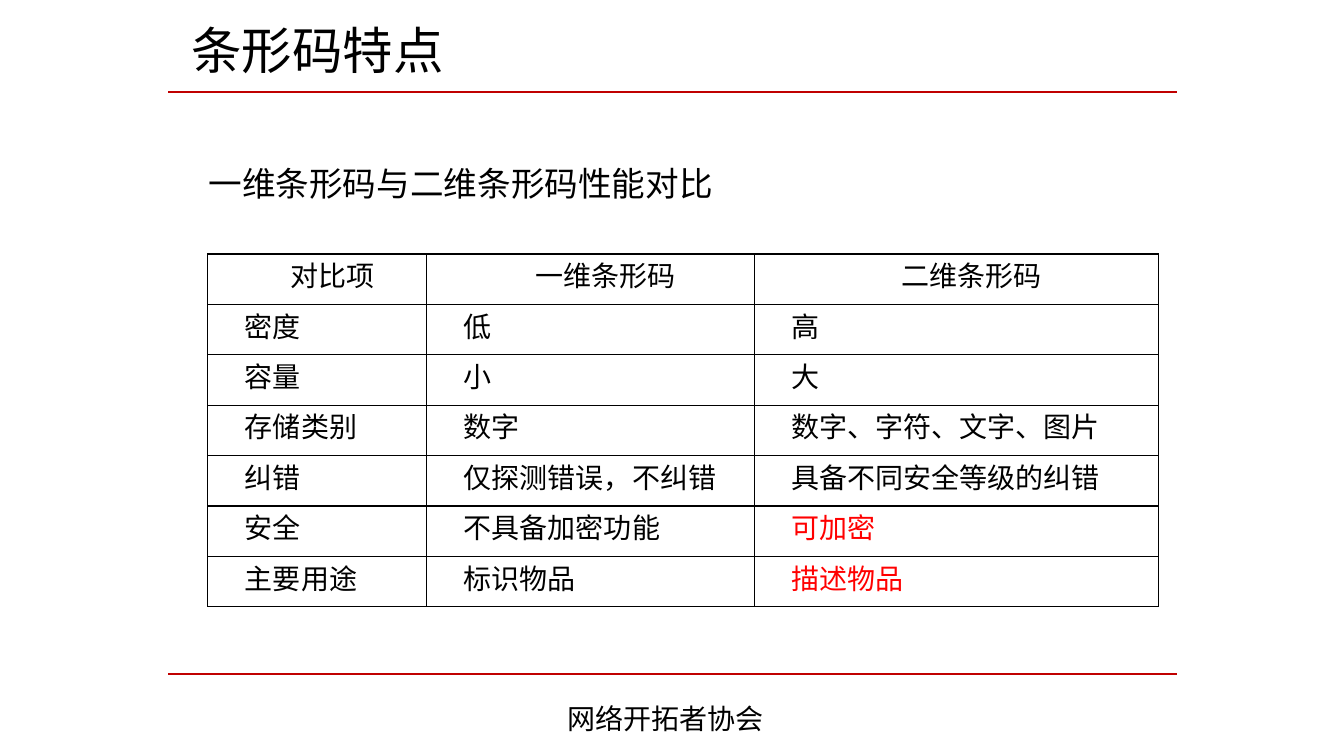
import pptx
import pptx.dml.color
import pptx.enum.shapes
import pptx.enum.text
import pptx.oxml
import pptx.oxml.ns
import pptx.util

PX = 9144  # 100 px to the inch
BLACK = pptx.dml.color.RGBColor(0x00, 0x00, 0x00)
RED = pptx.dml.color.RGBColor(0xFF, 0x00, 0x00)
RULE_RED = pptx.dml.color.RGBColor(0xC0, 0x00, 0x00)
SANS = "Noto Sans CJK SC"
SERIF = "Times New Roman"
NAMESPACE = pptx.oxml.ns.nsdecls("a")


def style_span(span, size, latin, color):
    """Format a run, with the sans face for its Chinese characters."""
    span.font.size = pptx.util.Pt(size)
    span.font.color.rgb = color
    span.font.name = latin
    latin_element = span.font._element.find(pptx.oxml.ns.qn("a:latin"))
    latin_element.addnext(pptx.oxml.parse_xml(f'<a:ea {NAMESPACE} typeface="{SANS}"/>'))


def fill_text(box, text, bounds, size):
    """Place a box and give it one left-aligned line."""
    box.left, box.top, box.width, box.height = [value * PX for value in bounds]
    frame = box.text_frame
    frame.text = text
    frame.word_wrap = True
    frame.auto_size = pptx.enum.text.MSO_AUTO_SIZE.NONE
    frame.vertical_anchor = pptx.enum.text.MSO_ANCHOR.MIDDLE
    frame.paragraphs[0].alignment = pptx.enum.text.PP_ALIGN.LEFT
    style_span(frame.paragraphs[0].runs[0], size, SANS, BLACK)


deck = pptx.Presentation()
deck.slide_width = 1333 * PX
deck.slide_height = 750 * PX
page = deck.slides.add_slide(deck.slide_layouts[5])

# Rules under the title and above the footer
for rule_y in (91, 669):
    rule = page.shapes.add_connector(
        pptx.enum.shapes.MSO_CONNECTOR.STRAIGHT,
        167 * PX, rule_y * PX, 1167 * PX, rule_y * PX)
    rule.line.color.rgb = RULE_RED
    rule.line.width = pptx.util.Pt(1.5)
    rule._element.spPr.append(pptx.oxml.parse_xml(f"<a:effectLst {NAMESPACE}/>"))

# Title, footer and table heading
fill_text(page.shapes.title, "条形码特点", (180, 13, 950, 71), 36)
for text, bounds, size in (
    ("网络开拓者协会", (553, 691, 382, 44), 20),
    ("一维条形码与二维条形码性能对比", (197, 157, 737, 50), 24),
):
    fill_text(page.shapes.add_textbox(0, 0, 0, 0), text, bounds, size)

# Comparison table
COMPARISON = [
    ("对比项", "一维条形码", "二维条形码"),
    ("密度", "低", "高"),
    ("容量", "小", "大"),
    ("存储类别", "数字", "数字、字符、文字、图片"),
    ("纠错", "仅探测错误，不纠错", "具备不同安全等级的纠错"),
    ("安全", "不具备加密功能", "可加密"),
    ("主要用途", "标识物品", "描述物品"),
]
HIGHLIGHTS = {"可加密", "描述物品"}
COLUMN_WIDTHS = (217, 325, 401)
ROW_HEIGHT = 50

table = page.shapes.add_table(
    len(COMPARISON), len(COLUMN_WIDTHS), 206 * PX, 252 * PX,
    sum(COLUMN_WIDTHS) * PX, len(COMPARISON) * ROW_HEIGHT * PX).table
table.first_row = False
table.horz_banding = False
for column, width in zip(table.columns, COLUMN_WIDTHS):
    column.width = width * PX

for row_index, texts in enumerate(COMPARISON):
    table.rows[row_index].height = ROW_HEIGHT * PX
    for column_index, text in enumerate(texts):
        cell = table.cell(row_index, column_index)
        cell.text = text
        cell.margin_left = cell.margin_right = 7 * PX
        cell.margin_top = cell.margin_bottom = 0
        cell.vertical_anchor = pptx.enum.text.MSO_ANCHOR.TOP
        properties = cell._tc.get_or_add_tcPr()
        for side in ("lnL", "lnR", "lnT", "lnB"):
            properties.append(pptx.oxml.parse_xml(
                f'<a:{side} {NAMESPACE} w="{pptx.util.Pt(1)}"><a:solidFill>'
                f'<a:srgbClr val="{BLACK}"/></a:solidFill></a:{side}>'))
        cell.fill.background()
        para = cell.text_frame.paragraphs[0]
        if row_index == 0:
            para.alignment = pptx.enum.text.PP_ALIGN.CENTER
        indent = para._p.get_or_add_pPr()
        indent.set("marL", "0")
        indent.set("indent", str(30 * PX))
        style_span(para.runs[0], 20, SERIF, RED if text in HIGHLIGHTS else BLACK)

deck.save("out.pptx")
